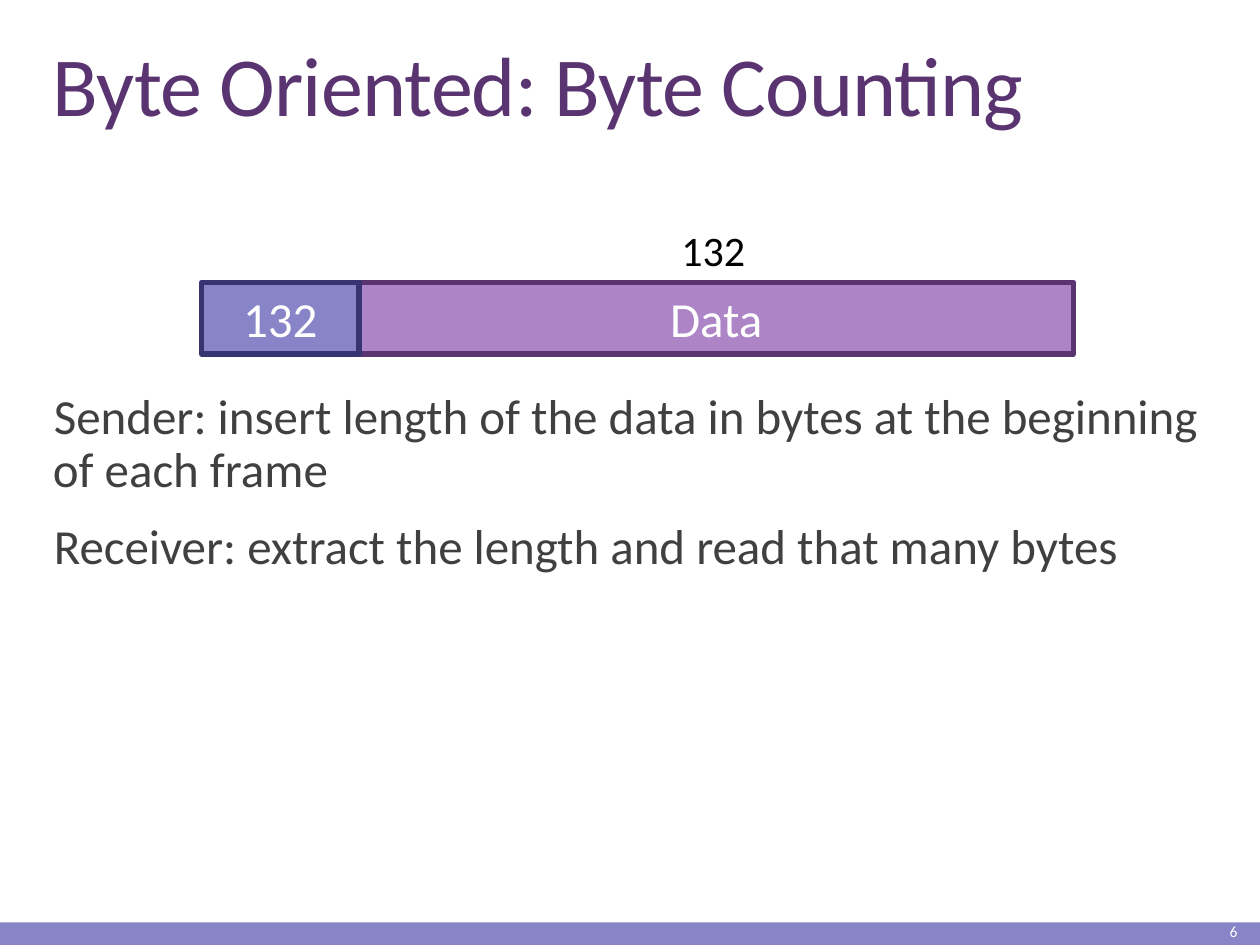
from dataclasses import dataclass

from lxml import etree
from pptx import Presentation
from pptx import util as u
from pptx.dml.color import RGBColor
from pptx.enum import shapes, text
from pptx.oxml.ns import qn

COLORS = {
    "heading": "5A3471", "body": "404040", "label": "000000", "white": "FFFFFF",
    "data": "AD84C6", "data_edge": "5A3471",
    "count": "8784C7", "count_edge": "373472", "footer": "8784C7",
}
FONT = "Calibri"
COLUMNS, ROWS = 100, 75  # grid over the whole slide
CELL = u.Inches(0.1)


@dataclass
class Box:
    """An area in grid columns and rows."""
    column: float
    row: float
    columns: float
    rows: float

    def emu(self) -> tuple:
        return tuple(u.Emu(round(n * CELL))
                     for n in (self.column, self.row, self.columns, self.rows))


@dataclass
class Field:
    """One field of the frame."""
    words: str
    column: float
    columns: float
    color: str


FIELD_ROW, FIELD_ROWS = 22.4, 5.7
COUNT = Field("132", 16, 12.5, "count")
DATA = Field("Data", COUNT.column + COUNT.columns, 56.7, "data")
RULES = (
    "Sender: insert length of the data in bytes at the beginning of each frame",
    "Receiver: extract the length and read that many bytes",
)


def rgb(name: str) -> RGBColor:
    return RGBColor.from_string(COLORS[name])


def add_words(paragraph, words: str, size: float, color: str):
    run = paragraph.add_run()
    run.text = words
    run.font.name, run.font.size = FONT, u.Pt(size)
    run.font.color.rgb = rgb(color)
    return run


def place(shape, box: Box) -> None:
    shape.left, shape.top, shape.width, shape.height = box.emu()


def add_rectangle(slide, box: Box, color: str):
    rectangle = slide.shapes.add_shape(shapes.MSO_SHAPE.RECTANGLE, *box.emu())
    rectangle.shadow.inherit = False
    rectangle.fill.solid()
    rectangle.fill.fore_color.rgb = rgb(color)
    rectangle.line.fill.background()
    return rectangle


def add_field(slide, field: Field) -> None:
    box = Box(field.column, FIELD_ROW, field.columns, FIELD_ROWS)
    rectangle = add_rectangle(slide, box, field.color)
    rectangle.line.color.rgb = rgb(field.color + "_edge")
    rectangle.line.width = u.Pt(3)
    frame = rectangle.text_frame
    frame.vertical_anchor = text.MSO_ANCHOR.TOP
    frame.auto_size = text.MSO_AUTO_SIZE.SHAPE_TO_FIT_TEXT
    paragraph = frame.paragraphs[0]
    paragraph.alignment = text.PP_ALIGN.CENTER
    add_words(paragraph, field.words, 28, "white")


def add_label(slide, box: Box, words: str, size: float, color: str,
              align: text.PP_ALIGN, wrap: bool):
    frame = slide.shapes.add_textbox(*box.emu()).text_frame
    frame.word_wrap = wrap
    paragraph = frame.paragraphs[0]
    paragraph.alignment = align
    add_words(paragraph, words, size, color)
    return frame


def set_blank_bullet(paragraph) -> None:
    """Hang the lines on an invisible bullet."""
    properties = paragraph._p.get_or_add_pPr()
    properties.set("marL", str(CELL))
    properties.set("indent", str(-CELL))
    bullet_color = etree.SubElement(properties, qn("a:buClr"))
    etree.SubElement(bullet_color, qn("a:srgbClr"), val=COLORS["data"])
    etree.SubElement(properties, qn("a:buChar"), char=" ")


def fill_title(title) -> None:
    place(title, Box(3.2, 3.1, 94.8, 8))
    frame = title.text_frame
    frame.auto_size = text.MSO_AUTO_SIZE.NONE
    frame.vertical_anchor = text.MSO_ANCHOR.BOTTOM
    paragraph = frame.paragraphs[0]
    paragraph.alignment = text.PP_ALIGN.LEFT
    paragraph.line_spacing = 0.85
    run = add_words(paragraph, "Byte Oriented: Byte Counting", 48, "heading")
    run.font._element.set("spc", "-50")


def fill_rules(body) -> None:
    place(body, Box(3.2, 30.6, 94.8, 37))
    frame = body.text_frame
    frame.auto_size = text.MSO_AUTO_SIZE.NONE
    frame.margin_left = frame.margin_right = 0
    for index, rule in enumerate(RULES):
        paragraph = frame.add_paragraph() if index else frame.paragraphs[0]
        paragraph.line_spacing = 0.9
        paragraph.space_before, paragraph.space_after = u.Pt(12), u.Pt(2)
        set_blank_bullet(paragraph)
        add_words(paragraph, rule, 28, "body")


def main() -> None:
    deck = Presentation()
    deck.slide_width, deck.slide_height = COLUMNS * CELL, ROWS * CELL
    slide = deck.slides.add_slide(deck.slide_layouts[1])

    # Title and rules
    fill_title(slide.shapes.title)
    fill_rules(slide.placeholders[1])

    # Footer band and slide number
    add_rectangle(slide, Box(0, 73.2, COLUMNS, 1.8), "footer")
    number = add_label(slide, Box(88.4, 72.8, 10.8, 2.2), "6", 8.9, "white",
                       text.PP_ALIGN.RIGHT, True)
    number.vertical_anchor = text.MSO_ANCHOR.MIDDLE

    # Frame: byte count, then data with its length above
    add_field(slide, DATA)
    length = add_label(slide, Box(53.1, 17.3, 7.6, 5), COUNT.words, 24, "label",
                       text.PP_ALIGN.LEFT, False)
    length.auto_size = text.MSO_AUTO_SIZE.SHAPE_TO_FIT_TEXT
    add_field(slide, COUNT)

    deck.save("out.pptx")


if __name__ == "__main__":
    main()
